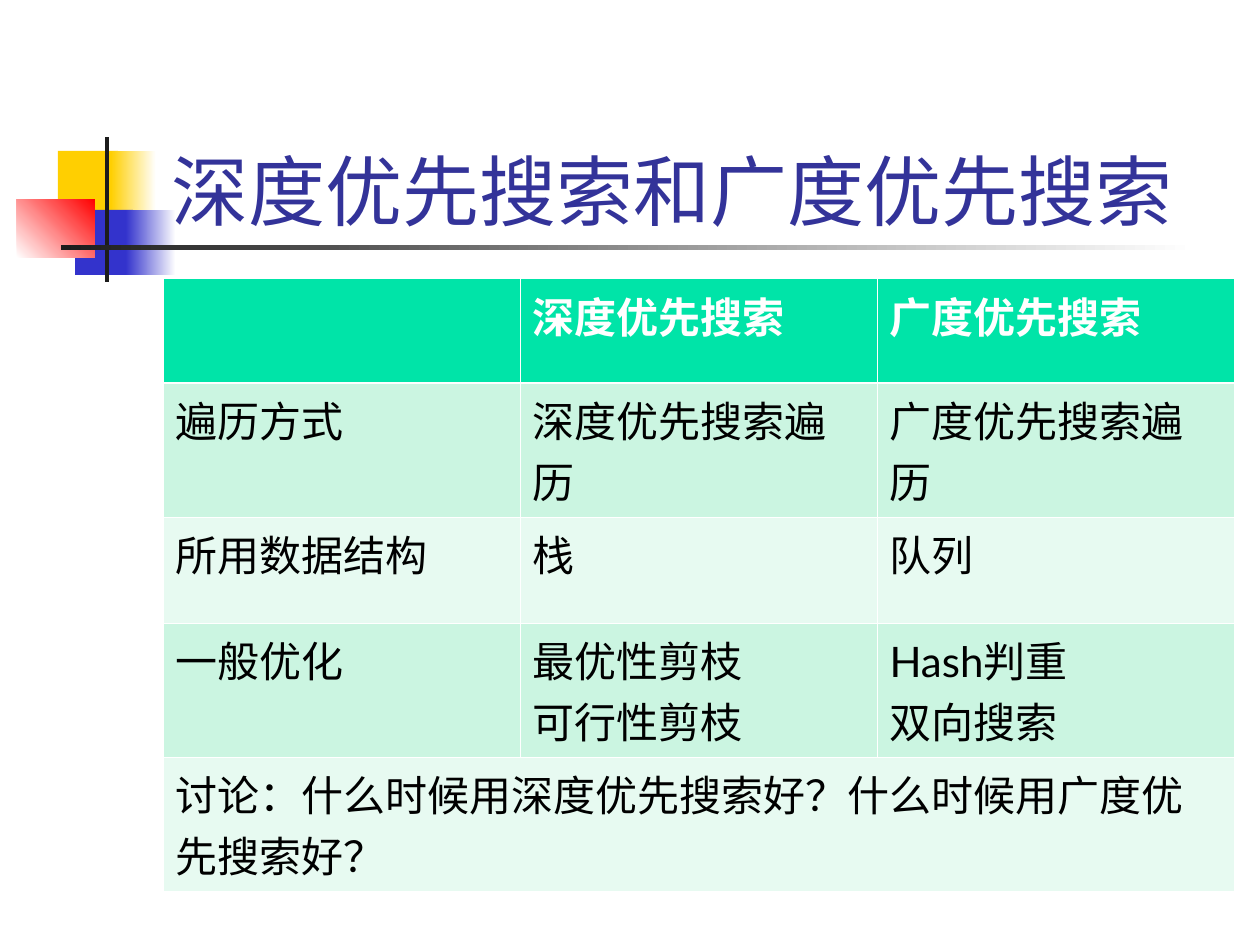
from lxml.etree import SubElement
from pptx import Presentation
from pptx.dml.color import RGBColor
from pptx.enum.shapes import MSO_SHAPE
from pptx.enum.text import MSO_ANCHOR
from pptx.oxml.ns import qn
from pptx.util import Emu, Pt

COLORS = {
    "white": "FFFFFF", "black": "000000", "ink": "1C1C1C", "title": "333399",
    "yellow": "FFCF01", "blue": "3333CC", "red": "FF0000",
    "header": "00E4A8", "band_dark": "CBF5E1", "band_light": "E7FAF1",
}
FONT = "Lato"

TITLE = "深度优先搜索和广度优先搜索"
ROWS = [
    ["", "深度优先搜索", "广度优先搜索"],
    ["遍历方式", "深度优先搜索遍历", "广度优先搜索遍历"],
    ["所用数据结构", "栈", "队列"],
    ["一般优化", "最优性剪枝\n可行性剪枝", "Hash判重\n双向搜索"],
    ["讨论：什么时候用深度优先搜索好？什么时候用广度优先搜索好？"],
]
ROW_HEIGHTS = [105, 134, 106, 134, 134]
COL_WIDTH = 357
TABLE_LEFT, TABLE_TOP = 163, 278

# left, top, width, height, colours (two make a gradient), gradient angle
ORNAMENTS = [
    (58, 151, 60, 66, ["yellow"], 0),
    (111, 151, 45, 66, ["yellow", "white"], 0),
    (75, 210, 58, 65, ["blue"], 0),
    (126, 210, 50, 65, ["blue", "white"], 0),
    (17, 199, 78, 59, ["white", "red"], 45),
    (105, 137, 4, 145, ["ink"], 0),
    (61, 245, 1134, 5, ["ink", "white"], 0),
]


def px(n):
    return Emu(round(n * 914400 / 126))


def rgb(name):
    return RGBColor.from_string(COLORS[name])


def style_text(tf, size, color, bold=False):
    for p in tf.paragraphs:
        p.font.name = FONT
        p.font.size = Pt(size)
        p.font.bold = bold
        p.font.color.rgb = rgb(color)


def add_ornament(slide, left, top, width, height, colors, angle):
    s = slide.shapes.add_shape(
        MSO_SHAPE.RECTANGLE, px(left), px(top), px(width), px(height))
    s.shadow.inherit = False
    s.line.fill.background()
    if len(colors) == 1:
        s.fill.solid()
        s.fill.fore_color.rgb = rgb(colors[0])
        return
    s.fill.gradient()
    s.fill.gradient_angle = angle
    for stop, color in zip(s.fill.gradient_stops, colors):
        stop.color.rgb = rgb(color)


def set_borders(cell, row):
    """White rules, thicker between the header and the first body row."""
    thick = {0: "lnB", 1: "lnT"}.get(row)
    tc_pr = cell._tc.get_or_add_tcPr()
    for side in ("lnL", "lnR", "lnT", "lnB"):
        width = Pt(1.47 if side == thick else 0.45)
        ln = SubElement(tc_pr, qn(f"a:{side}"), w=str(width))
        fill = SubElement(ln, qn("a:solidFill"))
        SubElement(fill, qn("a:srgbClr"), val=COLORS["white"])


def add_comparison(slide):
    cols = len(ROWS[0])
    table = slide.shapes.add_table(
        len(ROWS), cols, px(TABLE_LEFT), px(TABLE_TOP),
        px(COL_WIDTH * cols), px(sum(ROW_HEIGHTS))).table
    for col in table.columns:
        col.width = px(COL_WIDTH)
    for i, (texts, height) in enumerate(zip(ROWS, ROW_HEIGHTS)):
        table.rows[i].height = px(height)
        band = "header" if i == 0 else ("band_light", "band_dark")[i % 2]
        for j in range(cols):
            cell = table.cell(i, j)
            set_borders(cell, i)
            cell.fill.solid()
            cell.fill.fore_color.rgb = rgb(band)
            if j < len(texts):
                cell.text = texts[j]
            style_text(cell.text_frame, 24, "black" if i else "white", i == 0)
    last = len(ROWS) - 1
    table.cell(last, 0).merge(table.cell(last, cols - 1))


def main():
    prs = Presentation()
    prs.slide_width, prs.slide_height = px(1260), px(945)
    slide = prs.slides.add_slide(prs.slide_layouts[6])
    for ornament in ORNAMENTS:
        add_ornament(slide, *ornament)
    tf = slide.shapes.add_textbox(px(159), px(84), px(1074), px(158)).text_frame
    tf.word_wrap = True
    tf.vertical_anchor = MSO_ANCHOR.BOTTOM
    tf.text = TITLE
    style_text(tf, 44, "title")
    add_comparison(slide)
    prs.save("out.pptx")


if __name__ == "__main__":
    main()
